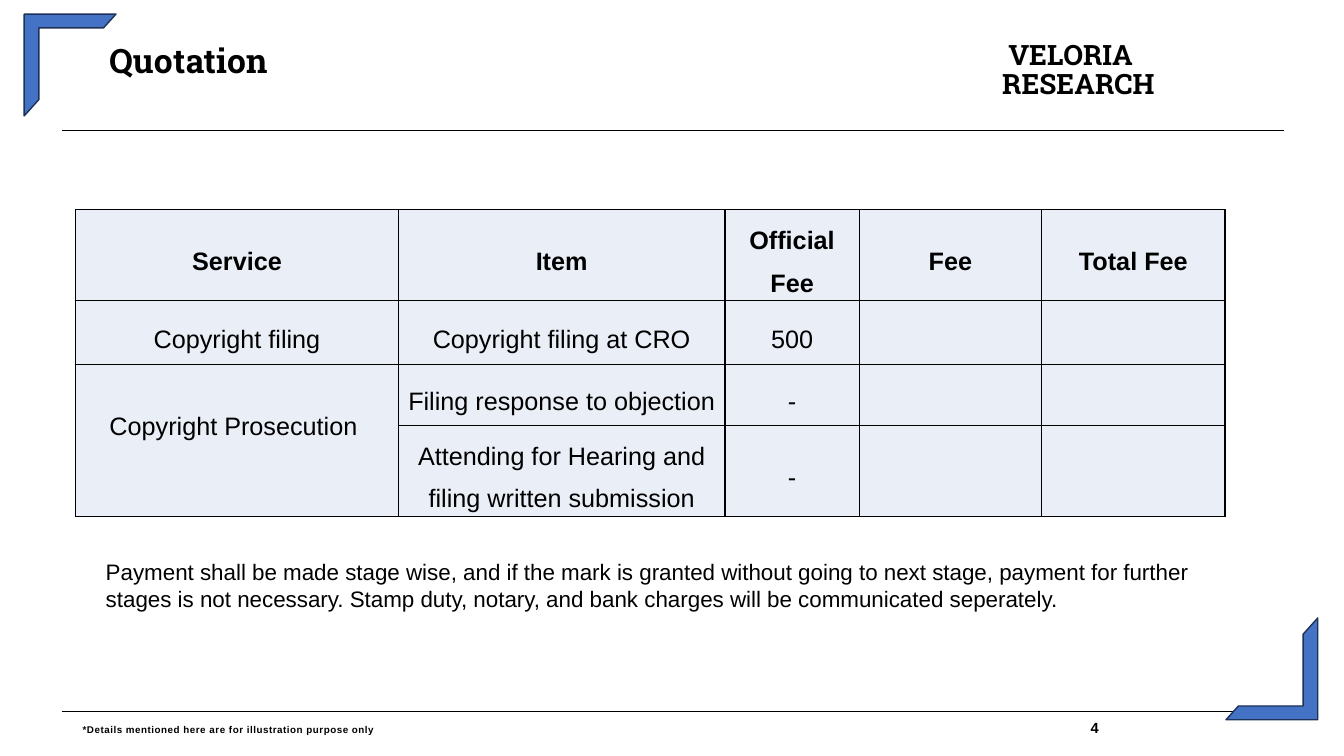
import pptx
import pptx.dml.color
import pptx.enum.shapes
import pptx.enum.text
import pptx.oxml
import pptx.oxml.ns
import pptx.util

BLACK = pptx.dml.color.RGBColor(0x00, 0x00, 0x00)
BRACKET_BLUE = pptx.dml.color.RGBColor(0x44, 0x72, 0xC4)
BRACKET_EDGE = pptx.dml.color.RGBColor(0x1E, 0x32, 0x56)
CELL_BLUE = pptx.dml.color.RGBColor(0xEA, 0xEF, 0xF7)

SLIDE_WIDTH = pptx.util.Inches(13.33)
SLIDE_HEIGHT = pptx.util.Inches(7.5)
HEADING_FONT = "Roboto Slab"
BODY_FONT = "Arial"

# Column widths and row heights are percentages of the slide's size.
COLUMN_WIDTHS = [24.01, 24.31, 9.98, 13.58, 13.65]
ROW_HEIGHTS = [12, 8.53, 8, 12]
QUOTATION = [
    ["Service", "Item", "Official Fee", "Fee", "Total Fee"],
    ["Copyright filing", "Copyright filing at CRO", "500", "", ""],
    ["Copyright Prosecution", "Filing response to objection", "-", "", ""],
    ["", "Attending for Hearing and filing written submission", "-", "", ""],
]
PAYMENT_NOTE = (
    "Payment shall be made stage wise, and if the mark is granted without going "
    "to next stage, payment for further stages is not necessary. Stamp duty, "
    "notary, and bank charges will be communicated seperately."
)


def across(percent):
    return round(SLIDE_WIDTH * percent / 100)


def down(percent):
    return round(SLIDE_HEIGHT * percent / 100)


def place(left, top, width, height):
    """Turn percentages of the slide into a position and size."""
    return across(left), down(top), across(width), down(height)


def format_paragraph(paragraph, size, name=BODY_FONT, bold=False, tracking=0):
    """Set the font; tracking is letter spacing in hundredths of a point."""
    font = paragraph.font
    font.size = pptx.util.Pt(size)
    font.name = name
    font.bold = bold
    font.color.rgb = BLACK
    if tracking:
        font._rPr.set("spc", str(tracking))


def clear_margins(frame):
    frame.margin_left = frame.margin_right = 0
    frame.margin_top = frame.margin_bottom = 0


def add_text(slide, text, area, size, **font_options):
    box = slide.shapes.add_textbox(*place(*area))
    frame = box.text_frame
    frame.word_wrap = True
    clear_margins(frame)
    paragraph = frame.paragraphs[0]
    paragraph.text = text
    format_paragraph(paragraph, size, **font_options)
    return frame


def add_title(slide, text):
    title = slide.shapes.title
    title.left, title.top, title.width, title.height = place(5.18, 6.4, 63, 8)
    frame = title.text_frame
    clear_margins(frame)
    frame.margin_left = across(2.93)
    frame.vertical_anchor = pptx.enum.text.MSO_ANCHOR.TOP
    paragraph = frame.paragraphs[0]
    paragraph.text = text
    paragraph.alignment = pptx.enum.text.PP_ALIGN.LEFT
    paragraph.line_spacing = 0.79
    format_paragraph(paragraph, 24, HEADING_FONT, True, 10)


def add_brand(slide):
    frame = add_text(slide, "VELORIA\vRESEARCH", (74.57, 5.6, 14.18, 8), 20,
                     name=HEADING_FONT, bold=True)
    paragraph = frame.paragraphs[0]
    paragraph.line_spacing = 0.87
    paragraph._p.get_or_add_pPr().set("indent", str(across(0.45)))


def add_rule(slide, top, weight):
    rule = slide.shapes.add_connector(
        pptx.enum.shapes.MSO_CONNECTOR.STRAIGHT,
        across(4.58), down(top), across(95.5), down(top))
    rule.line.color.rgb = BLACK
    rule.line.width = pptx.util.Pt(weight)
    rule._element.spPr.append(pptx.oxml.parse_xml(
        f'<a:effectLst {pptx.oxml.ns.nsdecls("a")}/>'))


def add_corner_bracket(slide, left, top, rotation):
    bracket = slide.shapes.add_shape(
        pptx.enum.shapes.MSO_SHAPE.HALF_FRAME, *place(left, top, 6.83, 13.47))
    bracket.adjustments[0] = 0.15
    bracket.adjustments[1] = 0.16
    bracket.rotation = rotation
    bracket.shadow.inherit = False
    bracket.fill.solid()
    bracket.fill.fore_color.rgb = BRACKET_BLUE
    bracket.line.color.rgb = BRACKET_EDGE
    bracket.line.width = pptx.util.Pt(1)


def add_cell_borders(cell):
    """Insert the four borders ahead of the cell's fill, as the schema asks."""
    properties = cell._tc.get_or_add_tcPr()
    for position, side in enumerate(("lnL", "lnR", "lnT", "lnB")):
        properties.insert(position, pptx.oxml.parse_xml(
            f'<a:{side} {pptx.oxml.ns.nsdecls("a")} w="12700"><a:solidFill>'
            f'<a:srgbClr val="{BLACK}"/></a:solidFill></a:{side}>'))


def format_cell(cell, text, bold):
    cell.fill.solid()
    cell.fill.fore_color.rgb = CELL_BLUE
    cell.vertical_anchor = pptx.enum.text.MSO_ANCHOR.MIDDLE
    cell.margin_left = cell.margin_right = pptx.util.Inches(0.07)
    cell.margin_top = cell.margin_bottom = 0
    add_cell_borders(cell)
    paragraph = cell.text_frame.paragraphs[0]
    paragraph.text = text
    paragraph.alignment = pptx.enum.text.PP_ALIGN.CENTER
    paragraph.line_spacing = 1.5
    format_paragraph(paragraph, 18, bold=bold)


def add_quotation_table(slide):
    area = place(5.63, 27.73, sum(COLUMN_WIDTHS), sum(ROW_HEIGHTS))
    table = slide.shapes.add_table(
        len(ROW_HEIGHTS), len(COLUMN_WIDTHS), *area).table
    for column, width in zip(table.columns, COLUMN_WIDTHS):
        column.width = across(width)
    for row, height in zip(table.rows, ROW_HEIGHTS):
        row.height = down(height)
    for row_index, texts in enumerate(QUOTATION):
        for column_index, text in enumerate(texts):
            format_cell(table.cell(row_index, column_index), text, row_index == 0)
    prosecution = table.cell(2, 0)
    prosecution.merge(table.cell(3, 0))
    prosecution.margin_bottom = down(5.6)
    prosecution.margin_right = pptx.util.Inches(0.14)


def add_footer(slide):
    for text, area, size, tracking in (
        ("*Details mentioned here are for illustration purpose only",
         (6.15, 95.2, 60, 2.53), 7, 40),
        ("4", (81.15, 95.0, 5, 2.53), 10.5, 40),
    ):
        frame = add_text(slide, text, area, size, bold=True, tracking=tracking)
        frame.vertical_anchor = pptx.enum.text.MSO_ANCHOR.MIDDLE


def add_payment_note(slide):
    frame = add_text(slide, PAYMENT_NOTE, (7.13, 73.2, 87.25, 8.53), 16)
    frame.margin_left = frame.margin_right = pptx.util.Inches(0.1)
    frame.margin_top = frame.margin_bottom = pptx.util.Inches(0.05)


def main():
    presentation = pptx.Presentation()
    presentation.slide_width = SLIDE_WIDTH
    presentation.slide_height = SLIDE_HEIGHT
    slide = presentation.slides.add_slide(presentation.slide_layouts[5])
    add_rule(slide, 94.13, 0.5)
    add_rule(slide, 17.27, 0.75)
    add_title(slide, "Quotation")
    add_brand(slide)
    add_corner_bracket(slide, 1.8, 1.87, 0)
    add_corner_bracket(slide, 91.22, 81.73, 180)
    add_footer(slide)
    add_quotation_table(slide)
    add_payment_note(slide)
    presentation.save("out.pptx")


if __name__ == "__main__":
    main()
